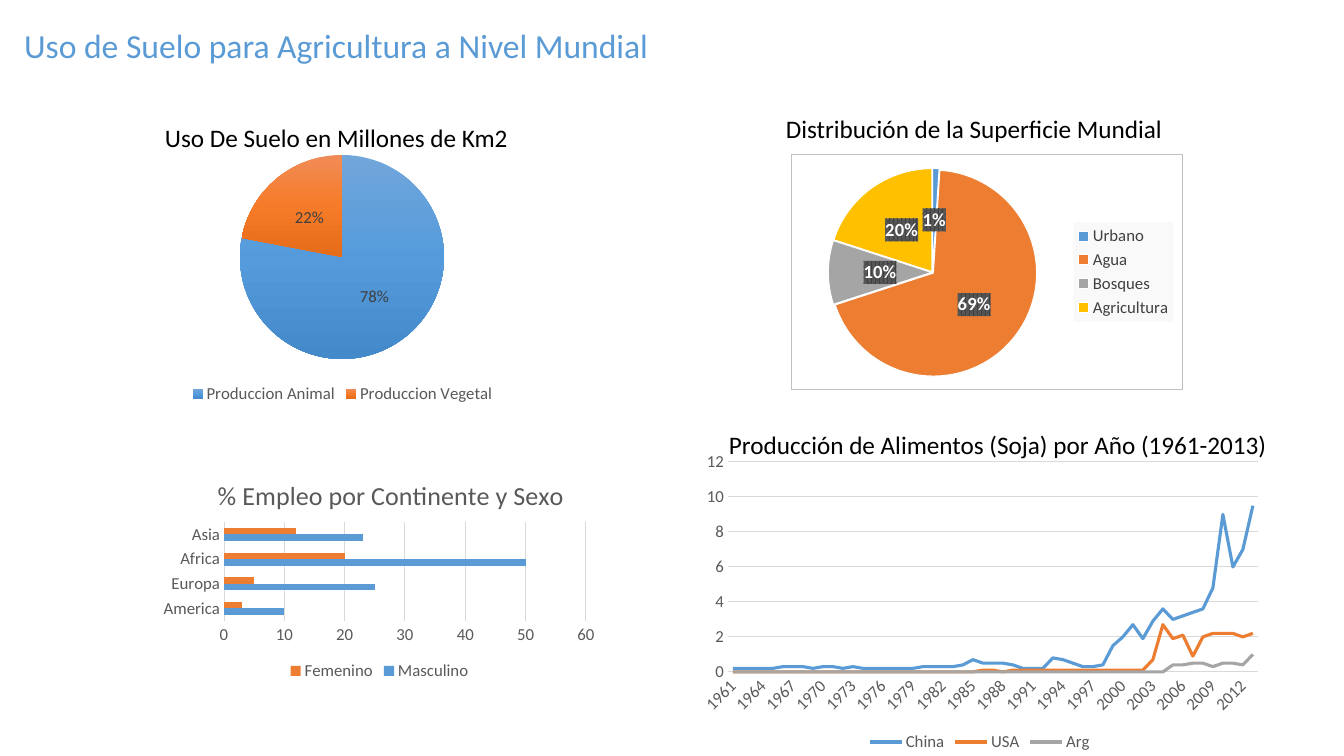
import pptx
import pptx.chart.data
import pptx.dml.color
import pptx.enum.chart
import pptx.enum.text
import pptx.oxml
import pptx.oxml.ns
import pptx.util

RGB = pptx.dml.color.RGBColor
BLUE = RGB(0x5B, 0x9B, 0xD5)
ORANGE = RGB(0xED, 0x7D, 0x31)
GRAY = RGB(0xA5, 0xA5, 0xA5)
GOLD = RGB(0xFF, 0xC0, 0x00)
BLACK = RGB(0x00, 0x00, 0x00)
WHITE = RGB(0xFF, 0xFF, 0xFF)
DARK = RGB(0x40, 0x40, 0x40)
TEXT = RGB(0x59, 0x59, 0x59)
GRID = RGB(0xD9, 0xD9, 0xD9)
FRAME = RGB(0xBF, 0xBF, 0xBF)
PALE = RGB(0xF9, 0xF9, 0xF9)
BLUE_SHADES = [RGB(0x71, 0xA6, 0xDB), RGB(0x55, 0x9B, 0xDB), RGB(0x44, 0x8A, 0xCA)]
ORANGE_SHADES = [RGB(0xF1, 0x8C, 0x57), RGB(0xF6, 0x7B, 0x28), RGB(0xE5, 0x6C, 0x19)]

FONT = "Calibri"
PIXEL = 914400 / 100.8
KIND = pptx.enum.chart.XL_CHART_TYPE
LEGEND = pptx.enum.chart.XL_LEGEND_POSITION
qn = pptx.oxml.ns.qn
NAMESPACES = pptx.oxml.ns.nsdecls("a", "c")

YEARS = [str(year) for year in range(1961, 2014)]
SOY = {
    "China": [0.2] * 5 + [0.3, 0.3, 0.3, 0.2, 0.3, 0.3, 0.2, 0.3] + [0.2] * 6
             + [0.3] * 4 + [0.4, 0.7, 0.5, 0.5, 0.5, 0.4, 0.2, 0.2, 0.2, 0.8, 0.7,
                            0.5, 0.3, 0.3, 0.4, 1.5, 2, 2.7, 1.9, 2.9, 3.6, 3, 3.2,
                            3.4, 3.6, 4.8, 9, 6, 7, 9.5],
    "USA": [0] * 25 + [0.1, 0.1, 0] + [0.1] * 14
           + [0.7, 2.7, 1.9, 2.1, 0.9, 2, 2.2, 2.2, 2.2, 2, 2.2],
    "Arg": [0] * 44 + [0.4, 0.4, 0.5, 0.5, 0.3, 0.5, 0.5, 0.4, 1],
}


def emu(box):
    return [round(length * PIXEL) for length in box]


def style(font, size, color, bold=False):
    font.name, font.size, font.bold = FONT, pptx.util.Pt(size), bold
    font.color.rgb = color


def xml(markup):
    """Element from markup whose first tag gets the namespaces."""
    end = markup.index(">")
    return pptx.oxml.parse_xml(f"{markup[:end]} {NAMESPACES}{markup[end:]}")


def solid(color):
    return f'<a:solidFill><a:srgbClr val="{color}"/></a:solidFill>'


def write(frame, text, size, color):
    frame.word_wrap = True
    frame.vertical_anchor = pptx.enum.text.MSO_ANCHOR.TOP
    para = frame.paragraphs[0]
    para.alignment = pptx.enum.text.PP_ALIGN.LEFT
    span = para.add_run()
    span.text = text
    style(span.font, size, color)


def add_title(page, box, text):
    title = page.shapes.title
    title.left, title.top, title.width, title.height = emu(box)
    title.text_frame.auto_size = pptx.enum.text.MSO_AUTO_SIZE.NONE
    write(title.text_frame, text, 24, BLUE)


def add_caption(page, box, text):
    write(page.shapes.add_textbox(*emu(box)).text_frame, text, 18, BLACK)


def place(part, box, inside, inner=False):
    """Fix a chart part at a box given relative to its chart."""
    old = part.find(qn("c:layout"))
    if old is not None:
        part.remove(old)
    target = '<c:layoutTarget val="inner"/>' if inner else ""
    modes = '<c:xMode val="edge"/><c:yMode val="edge"/>'
    sizes = (box[0] / inside[2], box[1] / inside[3], box[2] / inside[2], box[3] / inside[3])
    values = "".join(f'<c:{name} val="{size:.4f}"/>' for name, size in zip("xywh", sizes))
    layout = xml(f"<c:layout><c:manualLayout>{target}{modes}{values}"
                 "</c:manualLayout></c:layout>")
    if inner:
        part.insert(0, layout)
    else:
        part.find(qn("c:overlay")).addprevious(layout)


def add_chart(page, kind, box, plot_box, categories, series, legend=LEGEND.BOTTOM):
    data = pptx.chart.data.CategoryChartData()
    data.categories = categories
    for name, values in series.items():
        data.add_series(name, values)
    chart = page.shapes.add_chart(kind, *emu(box), data).chart
    style(chart.font, 10, BLACK)
    chart.has_title = False
    chart.has_legend = True
    chart.legend.position = legend
    chart.legend.include_in_layout = False
    style(chart.legend.font, 12, TEXT)
    place(chart.element.find(".//" + qn("c:plotArea")), plot_box, box, inner=True)
    return chart


def add_pie(page, box, plot_box, shares, label_size, label_color, bold=False, **options):
    chart = add_chart(page, KIND.PIE, box, plot_box, list(shares),
                      {"Series 1": list(shares.values())}, **options)
    chart.plots[0].vary_by_categories = True
    slices = chart.plots[0].series[0]
    labels = slices.data_labels
    labels.show_percentage, labels.show_value = True, False
    labels.number_format, labels.number_format_is_linked = "0%", False
    labels.position = pptx.enum.chart.XL_LABEL_POSITION.CENTER
    style(labels.font, label_size, label_color, bold)
    return chart, slices


def add_production_pie(page, box):
    _, slices = add_pie(page, box, (161, 13, 204, 204),
                        {"Produccion Animal": 78, "Produccion Vegetal": 22}, 12, DARK)
    for index, shades in enumerate([BLUE_SHADES, ORANGE_SHADES]):
        slices.points[index].format.fill.solid()
        stops = "".join(f'<a:gs pos="{step * 50000}"><a:srgbClr val="{shade}"/></a:gs>'
                        for step, shade in enumerate(shades))
        plain = slices._element.findall(qn("c:dPt"))[index].find(".//" + qn("a:solidFill"))
        plain.getparent().replace(plain, xml(
            f'<a:gradFill><a:gsLst>{stops}</a:gsLst><a:lin ang="5400000" scaled="0"/>'
            "</a:gradFill>"))


def add_surface_pie(page, box):
    chart, slices = add_pie(page, box, (37, 14, 209, 209),
                            {"Urbano": 1, "Agua": 69, "Bosques": 10, "Agricultura": 20},
                            13.3, WHITE, bold=True, legend=LEGEND.RIGHT)
    slices.format.line.color.rgb = WHITE
    slices._element.find(qn("c:spPr")).addnext(xml('<c:explosion val="1"></c:explosion>'))
    for index, color in enumerate([BLUE, ORANGE, GRAY, GOLD]):
        point = slices.points[index].format
        point.fill.solid()
        point.fill.fore_color.rgb = color
        point.line.color.rgb = WHITE
        point.line.width = pptx.util.Pt(0.75)
    # Patterned label boxes
    slices._element.find(qn("c:dLbls")).find(qn("c:txPr")).addprevious(xml(
        f'<c:spPr><a:pattFill prst="pct75"><a:fgClr><a:srgbClr val="{DARK}"/></a:fgClr>'
        f'<a:bgClr><a:srgbClr val="{TEXT}"/></a:bgClr></a:pattFill></c:spPr>'))
    # Legend panel and chart frame
    legend = chart.legend._element
    place(legend, (283, 68, 100, 100), box)
    legend.find(qn("c:overlay")).addnext(xml(f"<c:spPr>{solid(PALE)}</c:spPr>"))
    style(chart.legend.font, 12, DARK)
    chart.element.find(qn("c:chart")).addnext(xml(
        f'<c:spPr>{solid(WHITE)}<a:ln w="9525">{solid(FRAME)}</a:ln></c:spPr>'))


def style_axes(chart, top, step):
    values, categories = chart.value_axis, chart.category_axis
    for axis in (values, categories):
        axis.major_tick_mark = pptx.enum.chart.XL_TICK_MARK.NONE
        style(axis.tick_labels.font, 12, TEXT)
    values.minimum_scale, values.maximum_scale, values.major_unit = 0, top, step
    values.format.line.fill.background()
    for line in (values.major_gridlines.format.line, categories.format.line):
        line.color.rgb = GRID
        line.width = pptx.util.Pt(0.75)


def add_employment_bars(page, box):
    chart = add_chart(page, KIND.BAR_CLUSTERED, box, (69, 57, 362, 99),
                      ["America", "Europa", "Africa", "Asia"],
                      {"Masculino": [10, 25, 50, 23], "Femenino": [3, 5, 20, 12]})
    style_axes(chart, 60, 10)
    plot = chart.plots[0]
    plot.gap_width, plot.vary_by_categories = 182, False
    for series, color in zip(plot.series, [BLUE, ORANGE]):
        series.format.fill.solid()
        series.format.fill.fore_color.rgb = color
    chart.has_title = True
    span = chart.chart_title.text_frame.paragraphs[0].add_run()
    span.text = "% Empleo por Continente y Sexo"
    style(span.font, 18.6, TEXT)
    chart.chart_title.include_in_layout = False
    place(chart.chart_title._element, (58, 8, 346, 32), box)


def add_soy_lines(page, box):
    chart = add_chart(page, KIND.LINE, box, (38, 15, 530, 210), YEARS, SOY)
    style_axes(chart, 12, 2)
    chart.value_axis.tick_labels.number_format = "General"
    chart.value_axis.tick_labels.number_format_is_linked = False
    chart.category_axis._element.find(".//" + qn("a:bodyPr")).set("rot", "-2700000")
    for series, color in zip(chart.plots[0].series, [BLUE, ORANGE, GRAY]):
        series.smooth = False
        series.format.line.color.rgb = color
        series.format.line.width = pptx.util.Pt(2.25)


deck = pptx.Presentation()
deck.slide_width, deck.slide_height = emu((1344, 756))
page = deck.slides.add_slide(deck.slide_layouts[5])

add_title(page, (14, 20, 690, 50), "Uso de Suelo para Agricultura a Nivel Mundial")
add_production_pie(page, (79, 142, 527, 266))
add_employment_bars(page, (155, 465, 449, 220))
add_surface_pie(page, (791, 154, 392, 236))
add_caption(page, (155, 117, 374, 72), "Uso De Suelo en Millones de Km2")
add_caption(page, (776, 108, 404, 40), "Distribución de la Superficie Mundial")
add_soy_lines(page, (690, 447, 580, 309))
add_caption(page, (719, 424, 592, 40), "Producción de Alimentos (Soja) por Año (1961-2013)")
deck.save("out.pptx")
